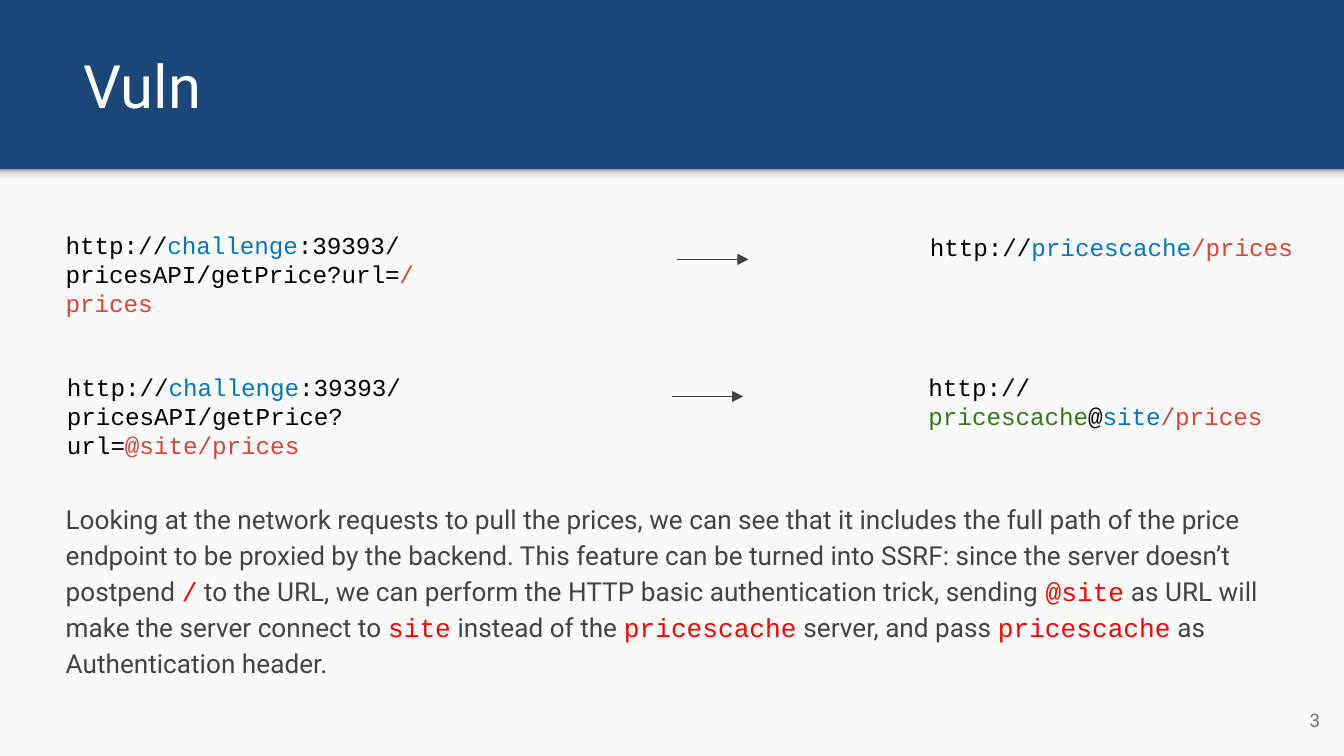
from lxml import etree
from pptx import Presentation
from pptx.dml.color import RGBColor
from pptx.enum.shapes import MSO_CONNECTOR, MSO_SHAPE
from pptx.enum.text import MSO_ANCHOR, MSO_AUTO_SIZE, PP_ALIGN
from pptx.oxml.ns import qn
from pptx.util import Inches, Pt

RECT = MSO_SHAPE.RECTANGLE
LINE = MSO_CONNECTOR.STRAIGHT
TOP, MIDDLE = MSO_ANCHOR.TOP, MSO_ANCHOR.MIDDLE
LEFT, RIGHT = PP_ALIGN.LEFT, PP_ALIGN.RIGHT
NO_FIT, GROW = MSO_AUTO_SIZE.NONE, MSO_AUTO_SIZE.SHAPE_TO_FIT_TEXT

WIDE = 10
HIGH = WIDE * 9 / 16

NAVY = RGBColor(0x1C, 0x48, 0x79)
PAPER = RGBColor(0xFA, 0xFA, 0xFA)
WHITE = RGBColor(0xFF, 0xFF, 0xFF)
BLACK = RGBColor(0x00, 0x00, 0x00)
GRAY = RGBColor(0x73, 0x73, 0x73)
INK = RGBColor(0x43, 0x43, 0x43)
ARROW = RGBColor(0x42, 0x42, 0x42)
BLUE = RGBColor(0x02, 0x77, 0xBD)
CORAL = RGBColor(0xDB, 0x44, 0x37)
GREEN = RGBColor(0x38, 0x76, 0x1D)
RED = RGBColor(0xFF, 0x00, 0x00)
SHADE = [(0, "F9F9F9"), (36, "F9F9F9"), (80, "DEDEDE"), (100, "999999")]

SANS, MONO = "Roboto", "Courier New"

# Left box, right box and arrow of each request: place, then coloured parts
CALL = [("http://", BLACK), ("challenge", BLUE),
        (":39393/pricesAPI/getPrice?url=", BLACK)]
ROWS = [
    ((0.39, 1.61, 3.37, 0.64), CALL + [("/prices", CORAL)],
     (6.82, 1.63, 2.97, 0.42),
     [("http://", BLACK), ("pricescache", BLUE), ("/prices", CORAL)],
     (5.04, 1.93)),
    ((0.4, 2.67, 3.37, 0.64), CALL + [("@site/prices", CORAL)],
     (6.81, 2.67, 2.71, 0.64),
     [("http://", BLACK), ("pricescache", GREEN), ("@", BLACK),
      ("site", BLUE), ("/prices", CORAL)],
     (5, 2.95)),
]

# Prose and code take turns, starting with prose
NOTE = [
    "Looking at the network requests to pull the prices, we can see that it "
    "includes the full path of the price endpoint to be proxied by the "
    "backend. This feature can be turned into SSRF: since the server doesn’t "
    "postpend ",
    "/",
    " to the URL, we can perform the HTTP basic authentication trick, sending ",
    "@site",
    " as URL will make the server connect to ",
    "site",
    " instead of the ",
    "pricescache",
    " server, and pass ",
    "pricescache",
    " as Authentication header.",
]


def place(shape, box):
    shape.left, shape.top, shape.width, shape.height = map(Inches, box)


def style(font, name, size, color):
    font.name, font.size = name, Pt(size)
    font.color.rgb = color


def set_frame(frame, anchor, fit):
    frame.word_wrap = True
    frame.auto_size = fit
    frame.vertical_anchor = anchor
    frame.margin_left = frame.margin_right = Inches(0.1)
    frame.margin_top = frame.margin_bottom = Inches(0.1)


def add_rect(slide, box):
    shape = slide.shapes.add_shape(RECT, *map(Inches, box))
    shape.shadow.inherit = False
    shape.line.fill.background()
    return shape


def add_panel(slide, box):
    fill = add_rect(slide, box).fill
    fill.solid()
    fill.fore_color.rgb = PAPER


def add_shade(slide, box):
    shape = add_rect(slide, box)
    shape.fill.gradient()
    shape.fill.gradient_angle = 90
    # Swap the two default stops for our own
    stops = shape._element.spPr.find(".//" + qn("a:gsLst"))
    for stop in list(stops):
        stops.remove(stop)
    for at, color in SHADE:
        stop = etree.SubElement(stops, qn("a:gs"), pos=str(at * 1000))
        etree.SubElement(stop, qn("a:srgbClr"), val=color)


def add_title(slide, text, box):
    title = slide.shapes.title
    place(title, box)
    frame = title.text_frame
    set_frame(frame, MIDDLE, NO_FIT)
    frame.text = text
    line = frame.paragraphs[0]
    line.alignment = LEFT
    style(line.runs[0].font, SANS, 32, WHITE)


def add_text(slide, box, parts, size, anchor=TOP, fit=GROW):
    """Add one paragraph made of (text, font, colour) parts."""
    frame = slide.shapes.add_textbox(*map(Inches, box)).text_frame
    set_frame(frame, anchor, fit)
    line = frame.paragraphs[0]
    for text, name, color in parts:
        run = line.add_run()
        run.text = text
        style(run.font, name, size, color)
    return line


def add_url(slide, box, parts):
    add_text(slide, box, [(text, MONO, color) for text, color in parts], 13)


def add_arrow(slide, left, top):
    ends = map(Inches, (left, top, left + 0.53, top))
    arrow = slide.shapes.add_connector(LINE, *ends)
    arrow.line.color.rgb = ARROW
    arrow.line.width = Pt(0.75)
    etree.SubElement(arrow.line._get_or_add_ln(), qn("a:tailEnd"),
                     type="triangle")
    etree.SubElement(arrow._element.spPr, qn("a:effectLst"))


def main():
    deck = Presentation()
    deck.slide_width, deck.slide_height = Inches(WIDE), Inches(HIGH)
    slide = deck.slides.add_slide(deck.slide_layouts[5])

    # Backdrop: navy header, pale panel and the shade under the header
    back = slide.background.fill
    back.solid()
    back.fore_color.rgb = NAVY
    add_panel(slide, (0, 1.27, WIDE, HIGH - 1.27))
    add_shade(slide, (0, 1.26, WIDE, 0.12))

    # Title and page number
    add_title(slide, "Vuln", (0.52, 0, 7.78, 1.26))
    page = add_text(slide, (9.32, 5.14, 0.6, 0.43), [("3", SANS, GRAY)], 10,
                    MIDDLE, NO_FIT)
    page.alignment = RIGHT

    # Explanation
    looks = [(SANS, INK), (MONO, RED)]
    parts = [(text, *looks[i % 2]) for i, text in enumerate(NOTE)]
    note = add_text(slide, (0.39, 3.61, 9.11, 1.52), parts, 14)
    note.line_spacing = 1.15

    # Requests and where they lead
    for from_box, call, to_box, goal, start in ROWS:
        add_url(slide, from_box, call)
        add_arrow(slide, *start)
        add_url(slide, to_box, goal)

    deck.save("out.pptx")


if __name__ == "__main__":
    main()
